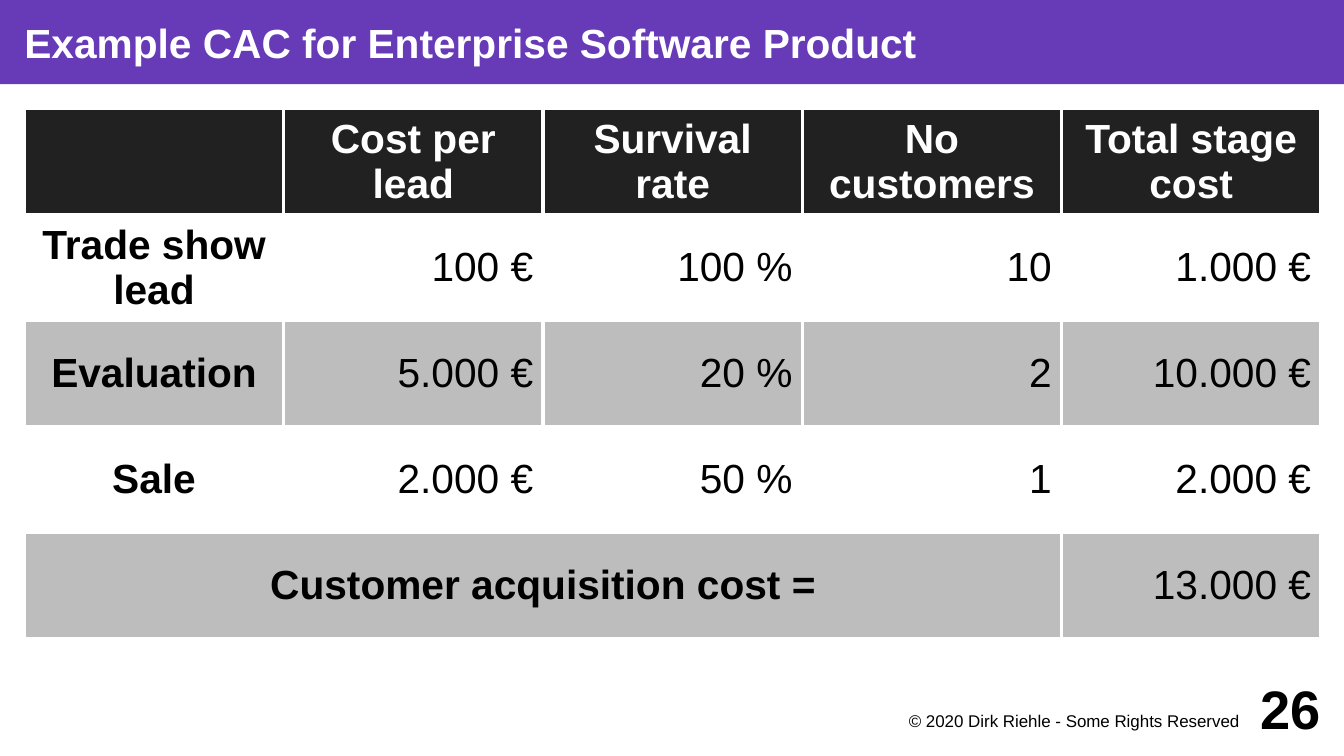
from dataclasses import dataclass

from lxml import etree
from pptx import Presentation
from pptx.dml.color import RGBColor
from pptx.enum.text import MSO_ANCHOR, MSO_AUTO_SIZE, PP_ALIGN
from pptx.oxml.ns import qn
from pptx.slide import Slide
from pptx.table import _Cell
from pptx.text.text import TextFrame
from pptx.util import Inches, Pt

LEFT, CENTER, RIGHT = PP_ALIGN.LEFT, PP_ALIGN.CENTER, PP_ALIGN.RIGHT
TOP, MIDDLE = MSO_ANCHOR.TOP, MSO_ANCHOR.MIDDLE
NO_AUTOFIT = MSO_AUTO_SIZE.NONE
TITLE_ONLY_LAYOUT = 5


@dataclass(frozen=True)
class Theme:
    font: str = "Arial"
    purple: str = "673AB7"
    dark: str = "212121"
    gray: str = "BDBDBD"
    white: str = "FFFFFF"
    black: str = "000000"
    main_size: float = 24
    footer_size: float = 10
    number_size: float = 32
    border_width: float = 2.27


@dataclass(frozen=True)
class TextStyle:
    size: float
    color: str
    bold: bool = False
    align: PP_ALIGN = LEFT
    anchor: MSO_ANCHOR = MIDDLE


@dataclass(frozen=True)
class FooterText:
    text: str
    bounds: tuple[float, float, float, float]
    margins: tuple[float, float, float, float]
    style: TextStyle


THEME = Theme()
SLIDE_WIDTH, SLIDE_HEIGHT = 11.02, 6.2
TITLE = "Example CAC for Enterprise Software Product"
TITLE_HEIGHT = 0.69
TABLE_LEFT, TABLE_TOP = 0.2, 0.89
TABLE_WIDTH, ROW_HEIGHT = 10.63, 0.87

COST_ROWS = [
    ["", "Cost per lead", "Survival rate", "No customers", "Total stage cost"],
    ["Trade show lead", "100 €", "100 %", "10", "1.000 €"],
    ["Evaluation", "5.000 €", "20 %", "2", "10.000 €"],
    ["Sale", "2.000 €", "50 %", "1", "2.000 €"],
    ["Customer acquisition cost =", "", "", "", "13.000 €"],
]

TITLE_STYLE = TextStyle(THEME.main_size, THEME.white, bold=True)
HEADER_STYLE = TextStyle(THEME.main_size, THEME.white, bold=True, align=CENTER)
STAGE_STYLE = TextStyle(THEME.main_size, THEME.black, bold=True, align=CENTER)
VALUE_STYLE = TextStyle(THEME.main_size, THEME.black, align=RIGHT)

FOOTER = [
    FooterText("© 2020 Dirk Riehle - Some Rights Reserved",
               (7.09, 5.81, 3.15, 0.3), (0, 0.02, 0.08, 0),
               TextStyle(THEME.footer_size, THEME.black, align=RIGHT, anchor=TOP)),
    FooterText("26", (10.04, 5.51, 0.79, 0.59), (0, 0, 0, 0),
               TextStyle(THEME.number_size, THEME.black, bold=True, align=RIGHT)),
]


def write_text(frame: TextFrame, text: str, style: TextStyle) -> None:
    para = frame.paragraphs[0]
    para.alignment = style.align
    span = para.add_run()
    span.text = text
    span.font.name = THEME.font
    span.font.size = Pt(style.size)
    span.font.bold = style.bold
    span.font.color.rgb = RGBColor.from_string(style.color)


def format_frame(frame: TextFrame, margins: tuple[float, float, float, float],
                 anchor: MSO_ANCHOR) -> None:
    frame.word_wrap = True
    frame.auto_size = NO_AUTOFIT
    frame.vertical_anchor = anchor
    (frame.margin_left, frame.margin_top,
     frame.margin_right, frame.margin_bottom) = map(Inches, margins)


def add_title(page: Slide) -> None:
    title = page.shapes.title
    title.left, title.top = Inches(0), Inches(0)
    title.width, title.height = Inches(SLIDE_WIDTH), Inches(TITLE_HEIGHT)
    title.fill.solid()
    title.fill.fore_color.rgb = RGBColor.from_string(THEME.purple)
    format_frame(title.text_frame, (0.2, 0, 0, 0), TITLE_STYLE.anchor)
    write_text(title.text_frame, TITLE, TITLE_STYLE)


def add_borders(cell: _Cell) -> None:
    properties = cell._tc.get_or_add_tcPr()
    for side in ("a:lnL", "a:lnR", "a:lnT", "a:lnB"):
        line = etree.SubElement(properties, qn(side), w=str(Pt(THEME.border_width)))
        fill = etree.SubElement(line, qn("a:solidFill"))
        etree.SubElement(fill, qn("a:srgbClr"), val=THEME.white)


def format_cell(cell: _Cell, text: str, fill: str, style: TextStyle) -> None:
    add_borders(cell)
    cell.fill.solid()
    cell.fill.fore_color.rgb = RGBColor.from_string(fill)
    cell.vertical_anchor = style.anchor
    cell.margin_left = cell.margin_right = Inches(0.08)
    cell.margin_top = cell.margin_bottom = Inches(0.05)
    if text:
        write_text(cell.text_frame, text, style)


def add_cost_table(page: Slide) -> None:
    row_count, column_count = len(COST_ROWS), len(COST_ROWS[0])
    table = page.shapes.add_table(
        row_count, column_count, Inches(TABLE_LEFT), Inches(TABLE_TOP),
        Inches(TABLE_WIDTH), Inches(ROW_HEIGHT * row_count)).table
    table.first_row = table.horz_banding = False

    # Dark header, then white and gray rows in turn
    for row, texts in enumerate(COST_ROWS):
        fill = THEME.dark if row == 0 else (THEME.gray, THEME.white)[row % 2]
        for column, text in enumerate(texts):
            if row == 0:
                style = HEADER_STYLE
            else:
                style = STAGE_STYLE if column == 0 else VALUE_STYLE
            format_cell(table.cell(row, column), text, fill, style)

    # The total's label spans all columns but the last
    last_row = row_count - 1
    table.cell(last_row, 0).merge(table.cell(last_row, column_count - 2))


def add_footer(page: Slide) -> None:
    for item in FOOTER:
        box = page.shapes.add_textbox(*map(Inches, item.bounds))
        format_frame(box.text_frame, item.margins, item.style.anchor)
        write_text(box.text_frame, item.text, item.style)


def main() -> None:
    deck = Presentation()
    deck.slide_width, deck.slide_height = Inches(SLIDE_WIDTH), Inches(SLIDE_HEIGHT)
    page = deck.slides.add_slide(deck.slide_layouts[TITLE_ONLY_LAYOUT])
    add_title(page)
    add_cost_table(page)
    add_footer(page)
    deck.save("out.pptx")


if __name__ == "__main__":
    main()
